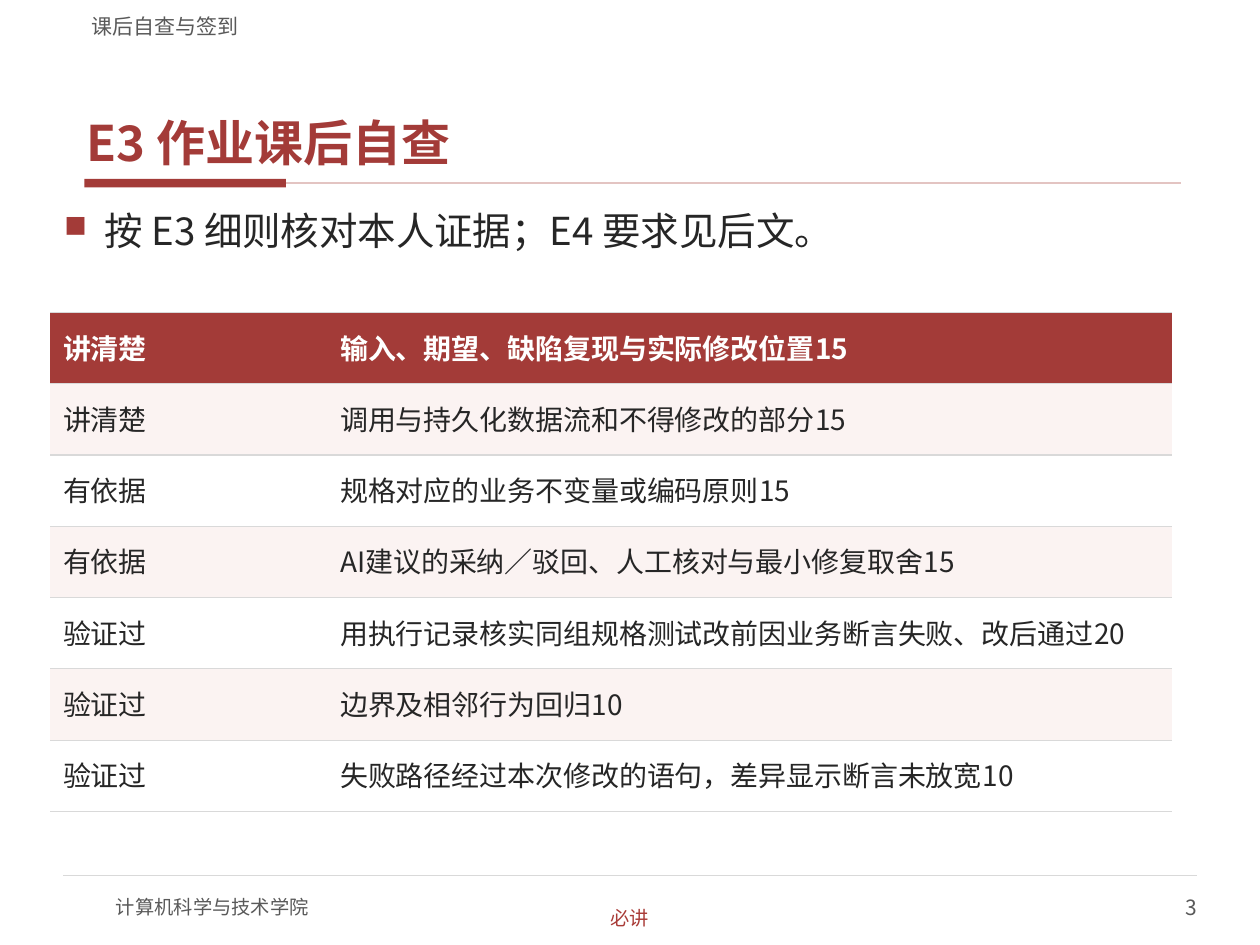
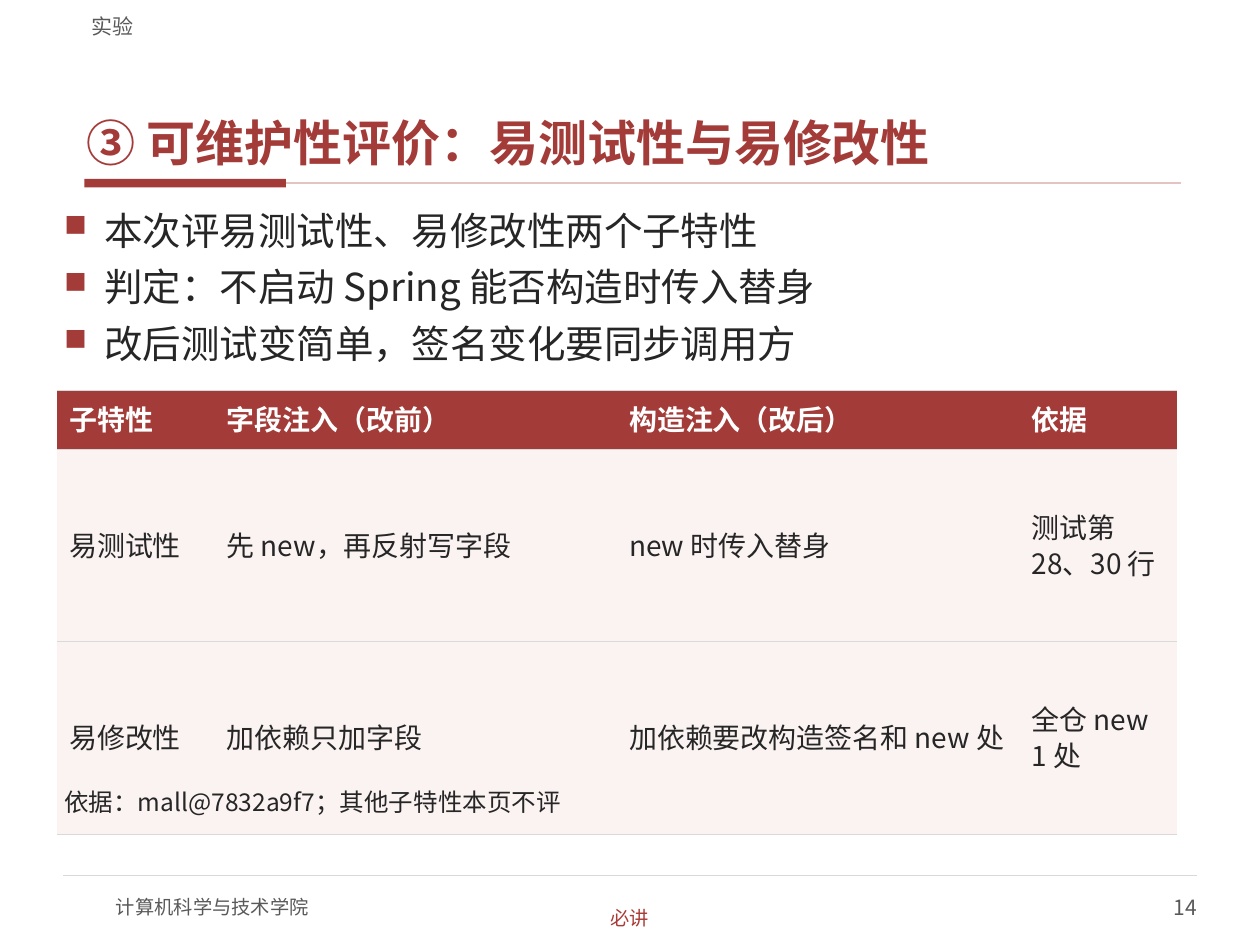
from dataclasses import dataclass

from lxml import etree
from pptx import Presentation
from pptx import util as u
from pptx.dml.color import RGBColor
from pptx.enum import shapes, text
from pptx.oxml.ns import qn

# ---- Content ----
SCHOOL = "计算机科学与技术学院"
TAG = "必讲"

SLIDES = [
    dict(
        section="课后自查与签到", title="E3 作业课后自查", page=3,
        bullets=["按 E3 细则核对本人证据；E4 要求见后文。"], bullets_h=56.2,
        table=dict(
            left=28.8, top=178.56, cols=[158.4, 482.4], rows=[40.75] * 7, zebra=True,
            cells=[
                ("讲清楚", "输入、期望、缺陷复现与实际修改位置15"),
                ("讲清楚", "调用与持久化数据流和不得修改的部分15"),
                ("有依据", "规格对应的业务不变量或编码原则15"),
                ("有依据", "AI建议的采纳／驳回、人工核对与最小修复取舍15"),
                ("验证过", "用执行记录核实同组规格测试改前因业务断言失败、改后通过20"),
                ("验证过", "边界及相邻行为回归10"),
                ("验证过", "失败路径经过本次修改的语句，差异显示断言未放宽10"),
            ]),
    ),
    dict(
        section="实验", title="③ 可维护性评价：易测试性与易修改性", page=14,
        bullets=["本次评易测试性、易修改性两个子特性",
                 "判定：不启动 Spring 能否构造时传入替身",
                 "改后测试变简单，签名变化要同步调用方"], bullets_h=98.6,
        table=dict(
            left=32.4, top=223.2, cols=[90, 230, 230, 90], rows=[33.5, 110, 110], zebra=False,
            cells=[
                ("子特性", "字段注入（改前）", "构造注入（改后）", "依据"),
                ("易测试性", "先 new，再反射写字段", "new 时传入替身", "测试第 28、30 行"),
                ("易修改性", "加依赖只加字段", "加依赖要改构造签名和 new 处", "全仓 new 1 处"),
            ]),
        note="依据：mall@7832a9f7；其他子特性本页不评",
    ),
]


# ---- Theme ----
@dataclass(frozen=True)
class Theme:
    font: str = "Noto Sans CJK SC"
    accent: str = "A33B38"
    tag: str = "A93B37"
    rule: str = "E3C4C2"
    grid: str = "D9D9D9"
    tint: str = "FBF3F2"
    white: str = "FFFFFF"
    ink: str = "262626"
    muted: str = "595959"
    title_sz: float = 28
    body_sz: float = 22
    cell_sz: float = 16
    note_sz: float = 14
    small_sz: float = 12
    footer_sz: float = 11


T = Theme()
PAD = (4.3, 1.4)
MIDDLE, BOTTOM = text.MSO_ANCHOR.MIDDLE, text.MSO_ANCHOR.BOTTOM


def rgb(value):
    return RGBColor.from_string(value)


def add_bullet(p):
    pPr = p._p.get_or_add_pPr()
    pPr.set("marL", str(u.Pt(23)))
    pPr.set("indent", str(-u.Pt(23)))
    color = etree.SubElement(pPr, qn("a:buClr"))
    etree.SubElement(color, qn("a:srgbClr"), val=T.accent)
    etree.SubElement(pPr, qn("a:buSzPct"), val="80000")
    etree.SubElement(pPr, qn("a:buChar"), char="■")


def write(tf, lines, size, color=T.ink, bold=False, align=None, bullet=False,
          before=0, after=None, spacing=None):
    """Fill a text frame; every line becomes one paragraph."""
    for i, line in enumerate([lines] if isinstance(lines, str) else lines):
        p = tf.add_paragraph() if i else tf.paragraphs[0]
        if bullet:
            add_bullet(p)
        if i:
            p.space_before = u.Pt(before)
        if after is not None:
            p.space_after = u.Pt(after)
        if spacing:
            p.line_spacing = spacing
        if align is not None:
            p.alignment = align
        r = p.add_run()
        r.text = line
        r.font.size, r.font.bold, r.font.name = u.Pt(size), bold, T.font
        r.font.color.rgb = rgb(color)
        etree.SubElement(r._r.get_or_add_rPr(), qn("a:ea"), typeface=T.font)


def add_text(s, box, lines, size, pad=(0, 0), anchor=text.MSO_ANCHOR.TOP, wrap=True, **fmt):
    tf = s.shapes.add_textbox(*map(u.Pt, box)).text_frame
    tf.word_wrap, tf.vertical_anchor = wrap, anchor
    tf.margin_left = tf.margin_right = u.Pt(pad[0])
    tf.margin_top = tf.margin_bottom = u.Pt(pad[1])
    write(tf, lines, size, **fmt)


def add_line(s, x1, x2, y, color, width):
    sp = s.shapes.add_connector(shapes.MSO_CONNECTOR.STRAIGHT, *map(u.Pt, (x1, y, x2, y)))
    sp.line.color.rgb, sp.line.width = rgb(color), u.Pt(width)
    etree.SubElement(sp._element.spPr, qn("a:effectLst"))
    return sp


def set_borders(cell):
    """Thin rules above and below, none at the sides."""
    tcPr = cell._tc.get_or_add_tcPr()
    for side in ("lnL", "lnR"):
        etree.SubElement(etree.SubElement(tcPr, qn("a:" + side)), qn("a:noFill"))
    for side in ("lnT", "lnB"):
        ln = etree.SubElement(tcPr, qn("a:" + side), w=str(u.Pt(0.75)))
        fill = etree.SubElement(ln, qn("a:solidFill"))
        etree.SubElement(fill, qn("a:srgbClr"), val=T.grid)


def add_grid(s, left, top, cols, rows, zebra, cells):
    tbl = s.shapes.add_table(len(rows), len(cols), *map(
        u.Pt, (left, top, sum(cols), sum(rows)))).table
    tbl.horz_banding = False
    for col, w in zip(tbl.columns, cols):
        col.width = u.Pt(w)
    for i, (row, h) in enumerate(zip(tbl.rows, rows)):
        row.height = u.Pt(h)
        head = i == 0
        band = T.accent if head else T.white if zebra and i % 2 == 0 else T.tint
        for cell, value in zip(row.cells, cells[i]):
            set_borders(cell)
            cell.fill.solid()
            cell.fill.fore_color.rgb = rgb(band)
            cell.vertical_anchor = MIDDLE
            write(cell.text_frame, value, T.cell_sz, color=T.white if head else T.ink,
                  bold=head, after=2, spacing=0.9)


def add_frame(s, section, title, page):
    """Title band, footer and labels shared by all slides."""
    bar = s.shapes.add_shape(shapes.MSO_SHAPE.RECTANGLE, *map(u.Pt, (48.2, 102.2, 115.2, 5)))
    bar.shadow.inherit = False
    bar.fill.solid()
    bar.fill.fore_color.rgb = rgb(T.accent)
    bar.line.fill.background()
    add_line(s, 163.4, 674.6, 104.7, T.rule, 1).begin_connect(bar, 3)
    add_line(s, 36, 684, 500.4, T.grid, 0.75)
    add_text(s, (66.24, 504, 288, 28.8), SCHOOL, T.footer_sz, anchor=MIDDLE, color=T.muted)
    add_text(s, (540, 504, 144, 28.8), str(page), T.small_sz, anchor=MIDDLE, color=T.muted,
             align=text.PP_ALIGN.RIGHT)
    add_text(s, (45.36, 23.76, 630, 75.6), title, T.title_sz, pad=PAD, anchor=BOTTOM,
             color=T.accent, bold=True, after=2)
    add_text(s, (45.36, 2.88, 630, 19.44), section, T.small_sz, pad=(7.2, 0),
             anchor=BOTTOM, color=T.muted)
    add_text(s, (316.8, 516.96, 86.4, 15.12), TAG, T.footer_sz, anchor=MIDDLE, wrap=False,
             color=T.tag, align=text.PP_ALIGN.CENTER)


def main():
    prs = Presentation()
    prs.slide_width, prs.slide_height = u.Pt(720), u.Pt(540)
    for page in SLIDES:
        s = prs.slides.add_slide(prs.slide_layouts[6])
        add_frame(s, page["section"], page["title"], page["page"])
        add_text(s, (32.4, 116.64, 655.2, page["bullets_h"]), page["bullets"], T.body_sz,
                 pad=PAD, bullet=True, before=4, after=2)
        add_grid(s, **page["table"])
        if "note" in page:
            add_text(s, (32.4, 448.56, 655.2, 36), page["note"], T.note_sz, pad=PAD, after=2)
    prs.save("out.pptx")


if __name__ == "__main__":
    main()
